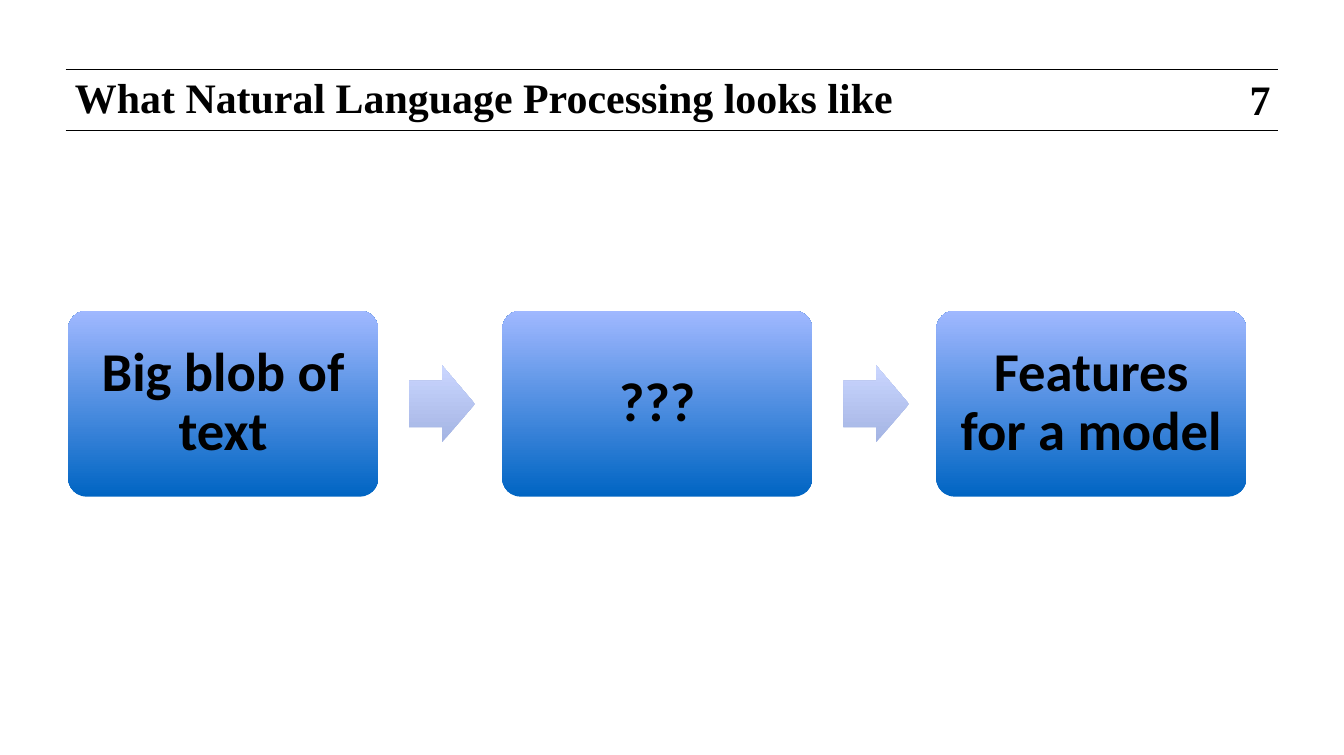
"""Build a slide showing the steps from raw text to model features."""
import pptx
import pptx.dml.color
import pptx.enum.shapes
import pptx.enum.text
import pptx.oxml.ns
import pptx.util
from lxml import etree

Cm = pptx.util.Cm
Pt = pptx.util.Pt
Shape = pptx.enum.shapes.MSO_SHAPE
Align = pptx.enum.text.PP_ALIGN
Anchor = pptx.enum.text.MSO_ANCHOR

COLOURS = {
    "ink": "000000",
    "step_low": "0065C3",
    "step_high": "A0B8FF",
    "arrow_low": "A4B4E3",
    "arrow_high": "CAD6FF",
}


def add_gradient_shape(kind, left, top, width, height, name):
    shape = page.shapes.add_shape(kind, Cm(left), Cm(top), Cm(width), Cm(height))
    shape.shadow.inherit = False
    shape.line.fill.background()
    shape.fill.gradient()
    shape.fill.gradient_angle = 90
    for stop, level in zip(shape.fill.gradient_stops, ("low", "high")):
        stop.color.rgb = pptx.dml.color.RGBColor.from_string(COLOURS[f"{name}_{level}"])
    return shape


def write_text(box, text, font_name, size, inset, alignment, anchor, wrap=True):
    frame = box.text_frame
    frame.word_wrap = wrap
    frame.vertical_anchor = anchor
    frame.margin_left = frame.margin_right = Cm(inset)
    frame.margin_top = frame.margin_bottom = Cm(inset)
    para = frame.paragraphs[0]
    para.text = text
    para.alignment = alignment
    para.font.name = font_name
    para.font.size = Pt(size)
    para.font.bold = True
    para.font.color.rgb = pptx.dml.color.RGBColor.from_string(COLOURS["ink"])
    return para


deck = pptx.Presentation()
deck.slide_width = Pt(737.25)
deck.slide_height = Pt(414)
page = deck.slides.add_slide(deck.slide_layouts[6])

for rule_top in (1.35, 2.52):
    rule = page.shapes.add_connector(
        pptx.enum.shapes.MSO_CONNECTOR.STRAIGHT,
        Cm(1.27), Cm(rule_top), Cm(24.74), Cm(rule_top))
    rule.line.width = Pt(0.5)
    rule.line.color.rgb = pptx.dml.color.RGBColor.from_string(COLOURS["ink"])
    etree.SubElement(rule._element.spPr, pptx.oxml.ns.qn("a:effectLst"))

number = page.shapes.add_textbox(Cm(24.13), Cm(1.42), Cm(0.51), Cm(0.97))
write_text(number, "7", "Times New Roman", 23, 0, Align.CENTER, Anchor.MIDDLE, wrap=False)

title = page.shapes.add_textbox(Cm(1.3), Cm(1.4), Cm(21.87), Cm(1.32))
heading = write_text(title, "What Natural Language Processing looks like",
                     "Times New Roman", 23, 0.15, Align.LEFT, Anchor.TOP)
heading.line_spacing = Pt(23)

steps = ("Big blob of text", "???", "Features for a model")
for index, label in enumerate(steps):
    left = 1.32 + index * 8.4
    step = add_gradient_shape(Shape.ROUNDED_RECTANGLE, left, 6.01, 6, 3.6, "step")
    step.adjustments[0] = 0.1
    para = write_text(step, label, "Calibri", 30, 0.3, Align.CENTER, Anchor.MIDDLE)
    para.line_spacing = 0.9
    if index < len(steps) - 1:
        arrow = add_gradient_shape(Shape.RIGHT_ARROW, left + 6.6, 7.07, 1.27, 1.49, "arrow")
        arrow.adjustments[0] = 0.6

deck.save("out.pptx")
